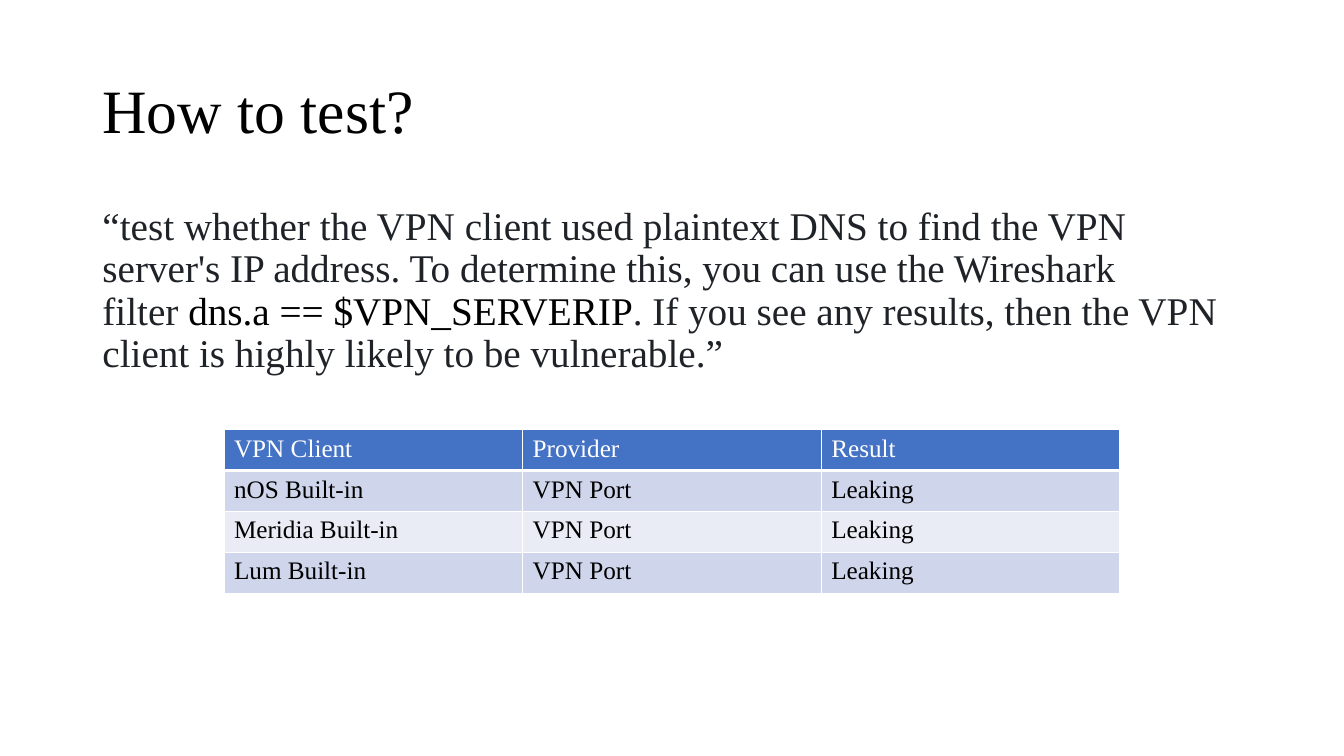
import lxml.etree
import pptx
import pptx.dml.color
import pptx.enum.text
import pptx.oxml.ns
import pptx.util

Pt = pptx.util.Pt
RGB = pptx.dml.color.RGBColor
BLACK = RGB(0x00, 0x00, 0x00)
WHITE = RGB(0xFF, 0xFF, 0xFF)
INK = RGB(0x1F, 0x23, 0x28)
BLUE = RGB(0x44, 0x72, 0xC4)
BANDS = RGB(0xE9, 0xEB, 0xF5), RGB(0xCF, 0xD5, 0xEA)
FACE = "Times New Roman"
HARD = chr(160)  # no-break space

QUOTE = (
    ("“test whether the VPN client used plaintext DNS to find the VPN server's IP "
     "address. To determine this, you can use the Wireshark filter" + HARD, INK),
    ("dns.a == $VPN_SERVERIP", BLACK),
    (". If you see any results, then the VPN client is highly likely to be "
     "vulnerable.”", INK),
)
ROWS = (
    ("VPN Client", "Provider", "Result"),
    ("nOS Built-in", "VPN Port", "Leaking"),
    ("Meridia Built-in", "VPN Port", "Leaking"),
    ("Lum Built-in", "VPN Port", "Leaking"),
)


def add_tag(parent, name, **attrs):
    return lxml.etree.SubElement(parent, pptx.oxml.ns.qn(name), attrs)


def place(shape, box):
    shape.left, shape.top, shape.width, shape.height = map(Pt, box)


def style(para, size, color=None):
    para.font.name = FACE
    para.font.size = Pt(size)
    para.font.bold = False
    if color is not None:
        para.font.color.rgb = color


def set_title(slide, box):
    title = slide.shapes.title
    place(title, box)
    frame = title.text_frame
    frame.text = "How to test?"
    frame.auto_size = pptx.enum.text.MSO_AUTO_SIZE.NONE
    frame.vertical_anchor = pptx.enum.text.MSO_ANCHOR.MIDDLE
    para = frame.paragraphs[0]
    para.alignment = pptx.enum.text.PP_ALIGN.LEFT
    para.line_spacing = 0.9
    style(para, 44, BLACK)


def set_quote(slide, box):
    body = slide.placeholders[1]
    place(body, box)
    frame = body.text_frame
    frame.auto_size = pptx.enum.text.MSO_AUTO_SIZE.NONE
    para = frame.paragraphs[0]
    para.line_spacing = 0.9
    para.space_before = Pt(0)
    props = para._p.get_or_add_pPr()
    props.set("marL", "0")
    props.set("indent", "0")
    add_tag(props, "a:buNone")
    style(para, 28)
    for text, color in QUOTE:
        run = para.add_run()
        run.text = text
        run.font.color.rgb = color


def add_edge(cell, side, width):
    """Draw a white border; call before the cell is filled."""
    line = add_tag(cell._tc.get_or_add_tcPr(), side, w=str(Pt(width)))
    add_tag(add_tag(line, "a:solidFill"), "a:srgbClr", val=str(WHITE))


def add_grid(slide, box):
    """Add the results table, with a blue head row and banded rows below."""
    table = slide.shapes.add_table(len(ROWS), len(ROWS[0]), *map(Pt, box)).table
    for r, row in enumerate(ROWS):
        for c, text in enumerate(row):
            cell = table.cell(r, c)
            cell.text = text
            for side in ("a:lnL", "a:lnR", "a:lnT", "a:lnB"):
                head = (r, side) in ((0, "a:lnB"), (1, "a:lnT"))
                add_edge(cell, side, 3 if head else 1)
            cell.fill.solid()
            cell.fill.fore_color.rgb = BANDS[r % 2] if r else BLUE
            style(cell.text_frame.paragraphs[0], 18, BLACK if r else WHITE)


def main():
    deck = pptx.Presentation()
    deck.slide_width, deck.slide_height = Pt(960), Pt(540)
    slide = deck.slides.add_slide(deck.slide_layouts[1])
    set_title(slide, (66, 28.75, 828, 104.4))
    set_quote(slide, (66, 144, 828, 132.5))
    add_grid(slide, (160, 306.9, 640, 116.8))
    deck.save("out.pptx")


if __name__ == "__main__":
    main()
